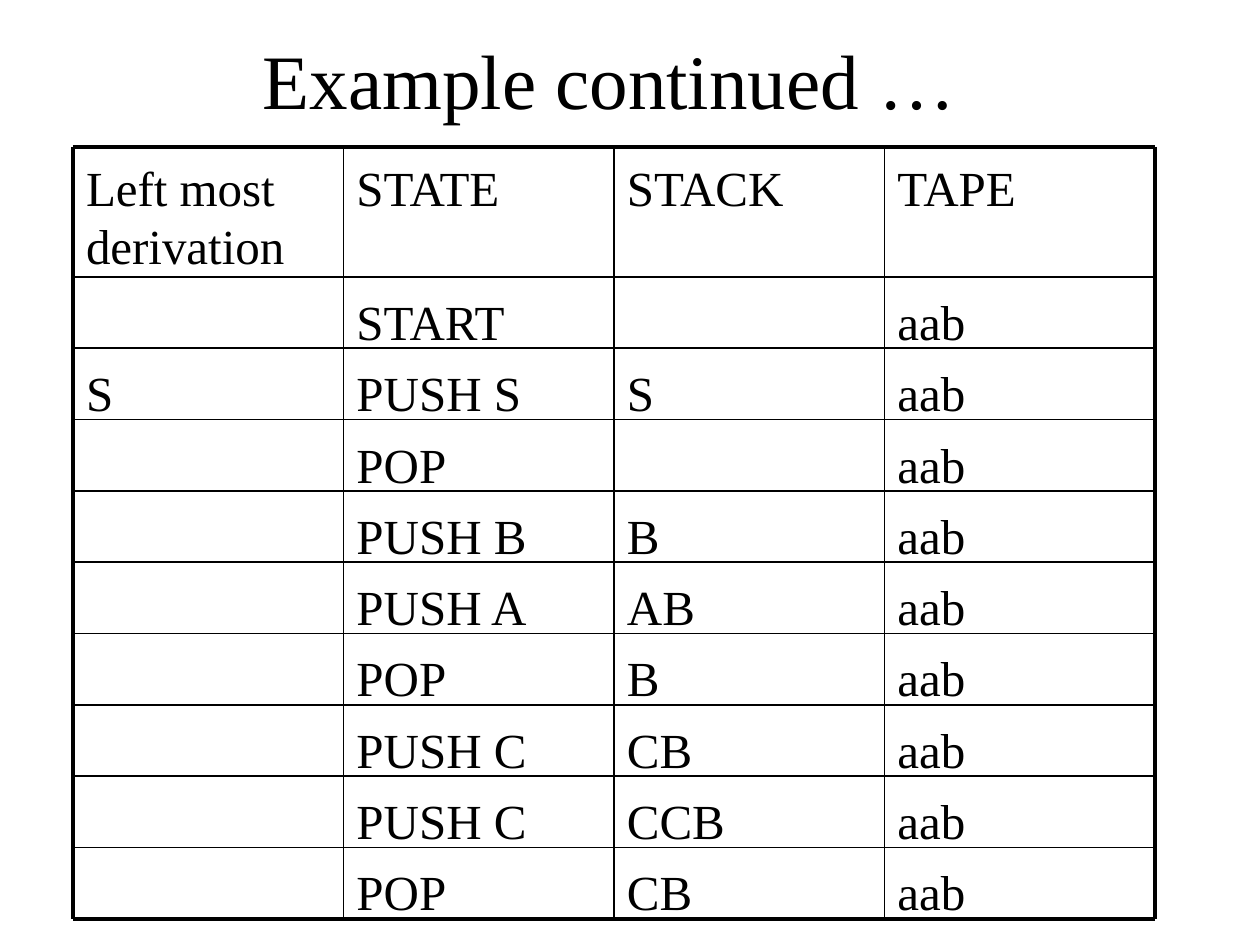
from lxml import etree
from pptx import Presentation
from pptx.dml.color import RGBColor
from pptx.enum.shapes import MSO_CONNECTOR
from pptx.enum.text import MSO_ANCHOR, PP_ALIGN
from pptx.oxml.ns import qn
from pptx.util import Emu, Pt

PX = 914400 / 126
LEFT, CENTER = PP_ALIGN.LEFT, PP_ALIGN.CENTER
TOP, MIDDLE = MSO_ANCHOR.TOP, MSO_ANCHOR.MIDDLE
STRAIGHT = MSO_CONNECTOR.STRAIGHT
BLACK = RGBColor.from_string("000000")
THIN, THICK = 1, 2.25


def px(n):
    return Emu(round(n * PX))


def write(tf, text, size=28, color=BLACK, align=LEFT, spacing=1.0,
          font="Times New Roman"):
    tf.word_wrap = True
    p = tf.paragraphs[0]
    p.alignment = align
    p.line_spacing = spacing
    p.font.size = Pt(size)
    if text:
        r = p.add_run()
        r.text = text
        r.font.name = font
        r.font.size = Pt(size)
        r.font.color.rgb = color


prs = Presentation()
prs.slide_width, prs.slide_height = px(1260), px(945)
s = prs.slides.add_slide(prs.slide_layouts[6])

# Title
sp = s.shapes.add_textbox(px(74), px(26), px(1071), px(105))
sp.text_frame.vertical_anchor = MIDDLE
write(sp.text_frame, "Example continued …", size=44, align=CENTER)

# Derivation table
rows = [
    ("Left most derivation", "STATE", "STACK", "TAPE"),
    ("", "START", "", "aab"),
    ("S", "PUSH S", "S", "aab"),
    ("", "POP", "", "aab"),
    ("", "PUSH B", "B", "aab"),
    ("", "PUSH A", "AB", "aab"),
    ("", "POP", "B", "aab"),
    ("", "PUSH C", "CB", "aab"),
    ("", "PUSH C", "CCB", "aab"),
    ("", "POP", "CB", "aab"),
]
n_rows, n_cols = len(rows), len(rows[0])
left, top, width, header_h, body_h = 73, 147, 1082, 130, 642
col_w, row_h = width / n_cols, body_h / (n_rows - 1)
right, bottom = left + width, top + header_h + body_h
table = s.shapes.add_table(n_rows, n_cols, px(left), px(top),
                           px(width), px(bottom - top)).table
table.first_row = table.horz_banding = False
for col in table.columns:
    col.width = px(col_w)
for i, row in enumerate(table.rows):
    row.height = px(row_h if i else header_h)
    for cell, text in zip(row.cells, rows[i]):
        cell.margin_left = cell.margin_right = px(13)
        cell.margin_top, cell.margin_bottom = px(12), 0
        cell.vertical_anchor = TOP
        cell.fill.background()
        write(cell.text_frame, text, spacing=1.0 if i else 1.07)

# Ruled grid, thick around the outside
xs = [left + j * col_w for j in range(n_cols + 1)]
ys = [top] + [top + header_h + i * row_h for i in range(n_rows)]
rules = [(left, y, right, y, y in (ys[0], ys[-1])) for y in ys]
rules += [(x, top, x, bottom, x in (xs[0], xs[-1])) for x in xs]
for x1, y1, x2, y2, is_outer in rules:
    line = s.shapes.add_connector(STRAIGHT, px(x1), px(y1), px(x2), px(y2))
    line.line.color.rgb = BLACK
    line.line.width = Pt(THICK if is_outer else THIN)
    etree.SubElement(line._element.spPr, qn("a:effectLst"))

prs.save("out.pptx")
